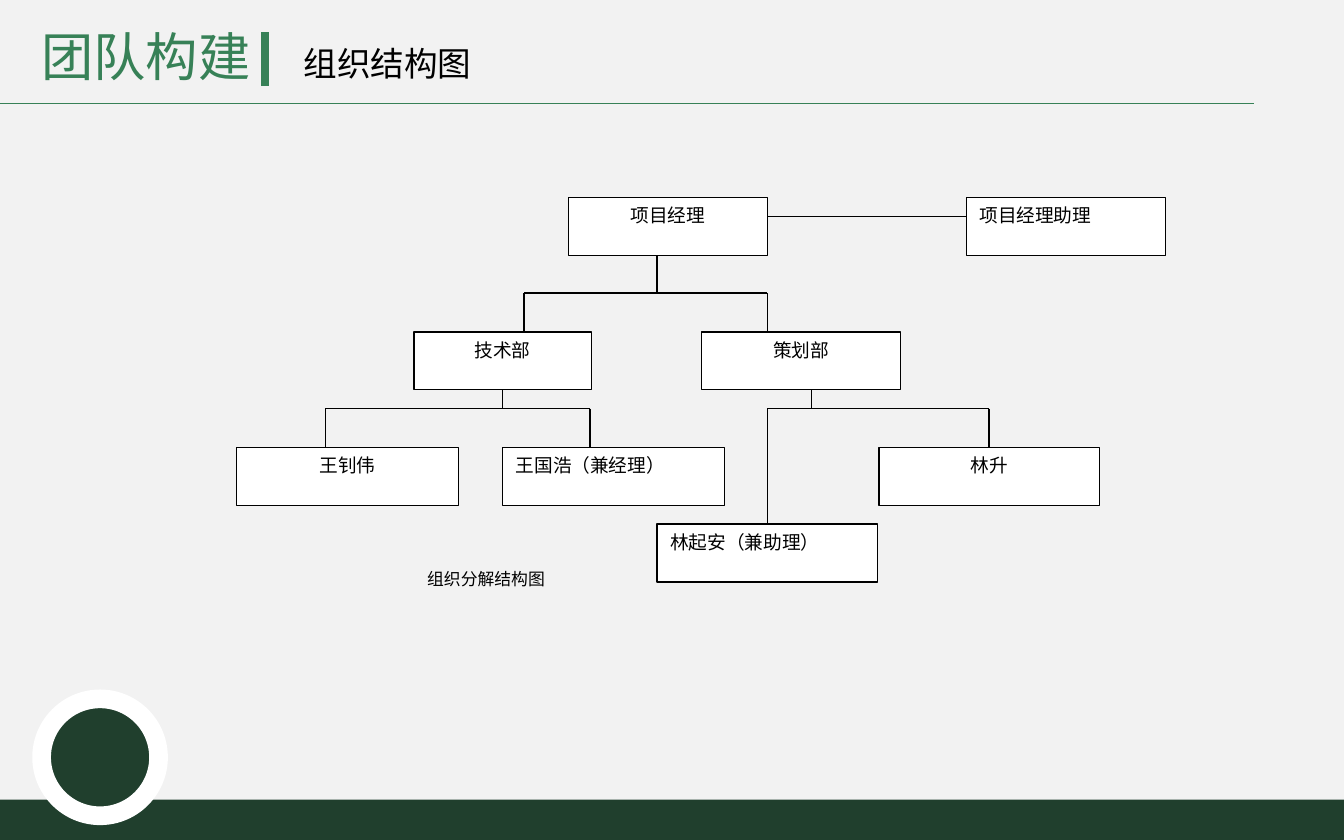
from lxml.etree import SubElement
from pptx import Presentation
from pptx.dml.color import RGBColor
from pptx.enum.shapes import MSO_CONNECTOR, MSO_SHAPE
from pptx.enum.text import MSO_ANCHOR, MSO_AUTO_SIZE, PP_ALIGN
from pptx.oxml.ns import qn
from pptx.util import Inches, Pt

THEME = {
    "paper": "F2F2F2", "dark": "203F2D", "green": "378157",
    "white": "FFFFFF", "ink": "000000",
    "title_font": "Noto Sans CJK SC", "chart_font": "Times New Roman",
    "cjk_font": "Noto Sans CJK SC",
    "title": 28, "subtitle": 18, "box": 10, "caption": 9,
    "thin": 0.75, "accent": 4.5, "ring": 10,
}

TITLE = ("团队构建", (0.21, 0.13, 1.8, 0.57))
SUBTITLE = ("组织结构图", (2.16, 0.27, 1.45, 0.4))
CAPTION = ("组织分解结构图", (3.08, 4.18, 1.65, 0.43))

BOX_HEIGHT = 0.43
BOXES = {  # name: left, top, width, alignment
    "项目经理": (4.23, 1.47, 1.48, PP_ALIGN.CENTER),
    "项目经理助理": (7.19, 1.47, 1.48, PP_ALIGN.LEFT),
    "技术部": (3.08, 2.47, 1.32, PP_ALIGN.CENTER),
    "策划部": (5.22, 2.47, 1.48, PP_ALIGN.CENTER),
    "王钊伟": (1.76, 3.33, 1.65, PP_ALIGN.CENTER),
    "王国浩（兼经理）": (3.74, 3.33, 1.65, PP_ALIGN.LEFT),
    "林起安（兼助理）": (4.89, 3.9, 1.64, PP_ALIGN.LEFT),
    "林升": (6.54, 3.33, 1.64, PP_ALIGN.CENTER),
}
BRANCHES = [  # parent, stem x, crossbar y, {child: drop x}
    ("项目经理", 4.89, 2.18, {"技术部": 3.9, "策划部": 5.71}),
    ("技术部", 3.74, 3.04, {"王钊伟": 2.42, "王国浩（兼经理）": 4.39}),
    ("策划部", 6.04, 3.04, {"林起安（兼助理）": 5.71, "林升": 7.36}),
]
ASSISTANT_LINK = ("项目经理", "项目经理助理", 1.61)


def color(key):
    return RGBColor.from_string(THEME[key])


def place(shape, area):
    shape.left, shape.top, shape.width, shape.height = map(Inches, area)


def write(shape, words, size, ink, font, align=PP_ALIGN.LEFT):
    frame = shape.text_frame
    frame.vertical_anchor = MSO_ANCHOR.TOP
    paragraph = frame.paragraphs[0]
    paragraph.alignment = align
    run = paragraph.add_run()
    run.text = words
    run.font.size = Pt(THEME[size])
    run.font.color.rgb = color(ink)
    run.font.name = THEME[font]
    east_asian = SubElement(run.font._element, qn("a:ea"))
    east_asian.set("typeface", THEME["cjk_font"])
    return frame


def fit_heading(frame):
    frame.word_wrap = False
    frame.auto_size = MSO_AUTO_SIZE.SHAPE_TO_FIT_TEXT


def add_panel(slide, kind, area, fill, outline=None, width="thin"):
    panel = slide.shapes.add_shape(kind, *map(Inches, area))
    panel.shadow.inherit = False
    panel.fill.solid()
    panel.fill.fore_color.rgb = color(fill)
    if outline:
        panel.line.color.rgb = color(outline)
        panel.line.width = Pt(THEME[width])
    else:
        panel.line.fill.background()
    return panel


def add_line(slide, start, end, ink="ink", width="thin"):
    line = slide.shapes.add_connector(
        MSO_CONNECTOR.STRAIGHT, *map(Inches, (*start, *end)))
    line.line.color.rgb = color(ink)
    line.line.width = Pt(THEME[width])
    SubElement(line._element.spPr, qn("a:effectLst"))
    return line


def is_centre(name, x):
    left, _, width, _ = BOXES[name]
    return abs(left + width / 2 - x) < 0.005


def add_header(slide):
    words, area = TITLE
    title = slide.shapes.title
    place(title, area)
    fit_heading(write(title, words, "title", "green", "title_font"))
    words, area = SUBTITLE
    subtitle = slide.shapes.add_textbox(*map(Inches, area))
    fit_heading(write(subtitle, words, "subtitle", "ink", "title_font"))
    add_line(slide, (0, 0.77), (9.33, 0.77), "green")
    add_line(slide, (1.97, 0.64), (1.97, 0.24), "green", "accent")


def add_footer(slide):
    add_panel(slide, MSO_SHAPE.RECTANGLE, (-0.02, 5.95, 10.02, 0.31), "dark")
    add_panel(slide, MSO_SHAPE.OVAL, (0.31, 5.2, 0.87, 0.87),
              "dark", "white", "ring")


def add_organization(slide):
    boxes = {}
    for name, (left, top, width, align) in BOXES.items():
        box = add_panel(slide, MSO_SHAPE.RECTANGLE,
                        (left, top, width, BOX_HEIGHT), "white", "ink")
        write(box, name, "box", "ink", "chart_font", align).word_wrap = True
        boxes[name] = box

    for parent, stem_x, bar_y, drops in BRANCHES:
        parent_bottom = BOXES[parent][1] + BOX_HEIGHT
        stem = add_line(slide, (stem_x, parent_bottom), (stem_x, bar_y))
        if is_centre(parent, stem_x):
            stem.begin_connect(boxes[parent], 2)
        add_line(slide, (min(drops.values()), bar_y),
                 (max(drops.values()), bar_y))
        for child, x in drops.items():
            drop = add_line(slide, (x, bar_y), (x, BOXES[child][1]))
            if is_centre(child, x):
                drop.end_connect(boxes[child], 0)

    manager, assistant, y = ASSISTANT_LINK
    manager_left, _, manager_width, _ = BOXES[manager]
    add_line(slide, (manager_left + manager_width, y),
             (BOXES[assistant][0], y))

    words, area = CAPTION
    caption = slide.shapes.add_textbox(*map(Inches, area))
    write(caption, words, "caption", "ink", "chart_font").word_wrap = True


def main():
    deck = Presentation()
    deck.slide_width, deck.slide_height = Inches(10), Inches(6.25)
    slide = deck.slides.add_slide(deck.slide_layouts[5])
    slide.background.fill.solid()
    slide.background.fill.fore_color.rgb = color("paper")
    add_footer(slide)
    add_header(slide)
    add_organization(slide)
    deck.save("out.pptx")


if __name__ == "__main__":
    main()
